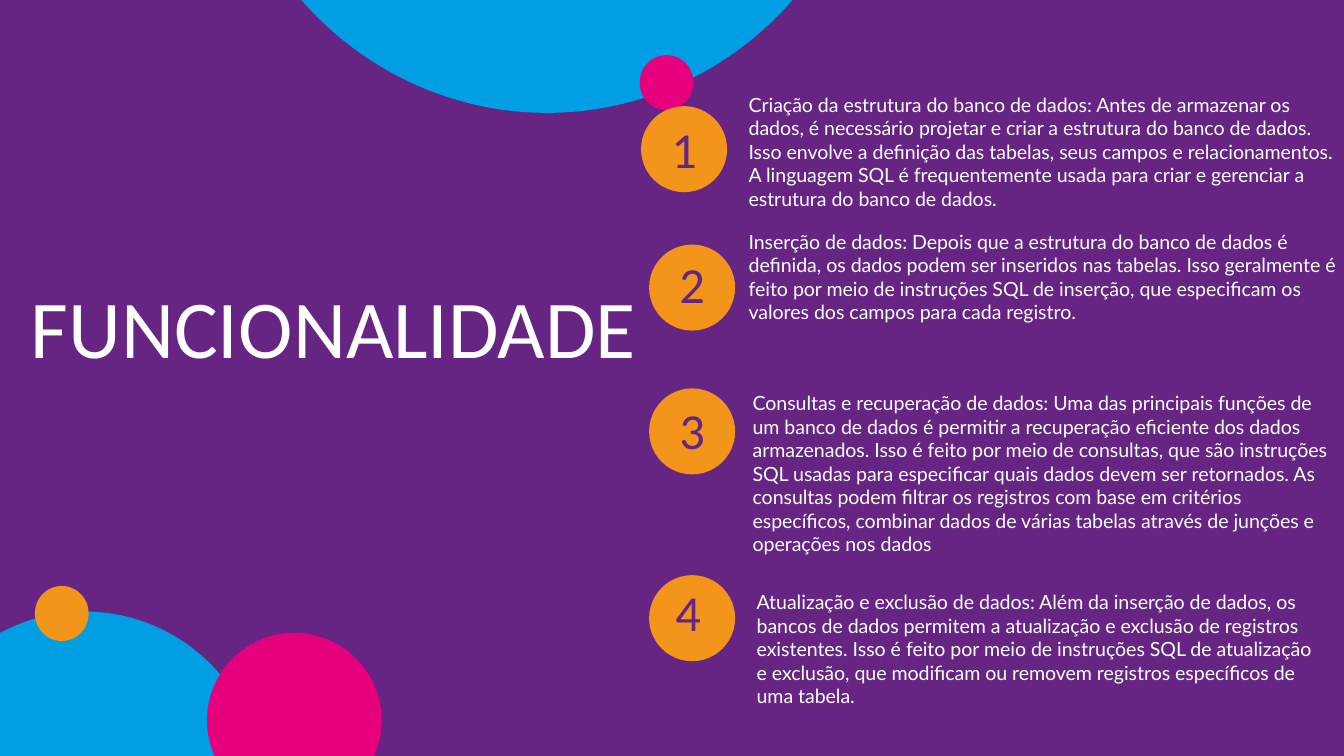
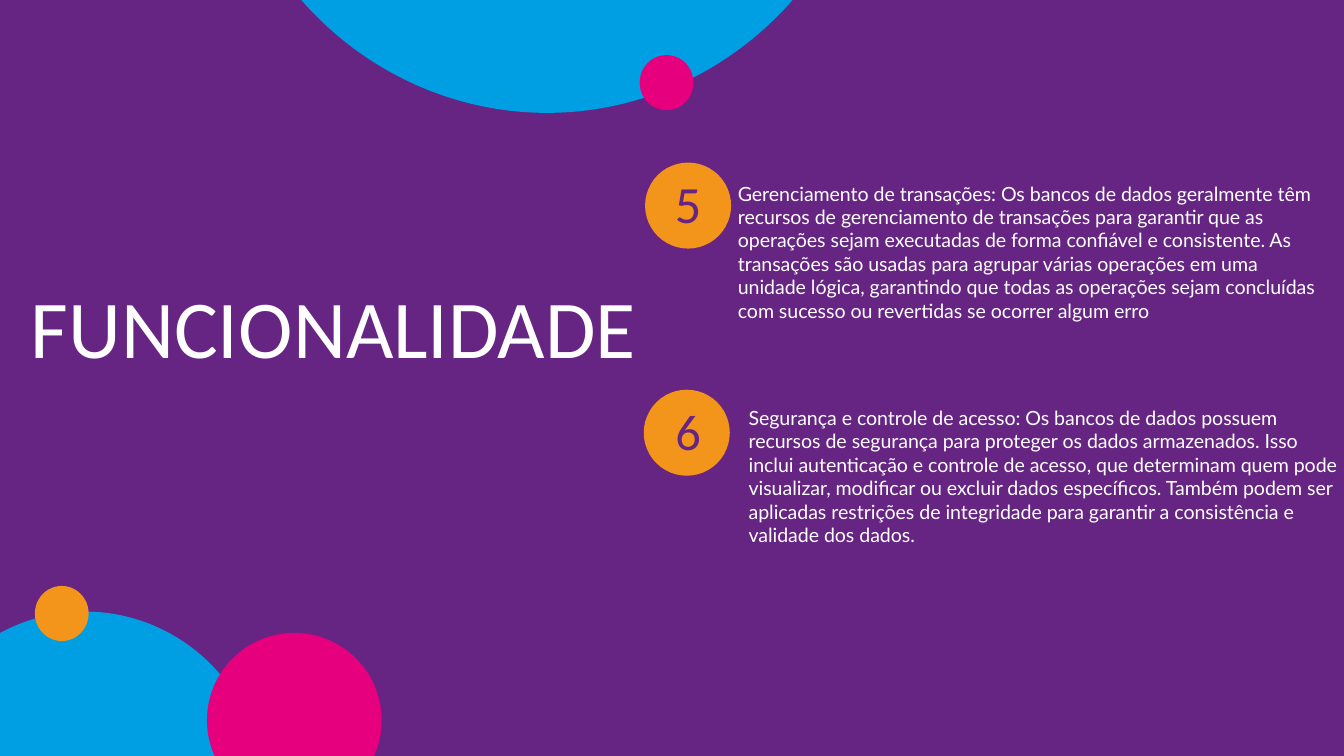
from dataclasses import dataclass
from math import asin, cos, pi, sin

from pptx import Presentation
from pptx.dml.color import RGBColor
from pptx.enum.shapes import MSO_SHAPE
from pptx.enum.text import MSO_ANCHOR, MSO_AUTO_SIZE, PP_ALIGN
from pptx.util import Inches, Pt

OVAL = MSO_SHAPE.OVAL
TOP, MIDDLE = MSO_ANCHOR.TOP, MSO_ANCHOR.MIDDLE
LEFT, CENTER = PP_ALIGN.LEFT, PP_ALIGN.CENTER
NO_AUTOFIT = MSO_AUTO_SIZE.NONE

COLORS = {
    "purple": "662483",
    "blue": "009FE3",
    "pink": "E6007E",
    "orange": "F4951B",
    "white": "FFFFFF",
}
SLIDE_WIDTH = 10
SLIDE_HEIGHT = SLIDE_WIDTH * 9 / 16
HEADING_FONT, BODY_FONT = "Calibri", "Lato"
TITLE_BOX = (0.13, 1.47, 5.15, 1.9)
BADGE_SIZE = 0.64
INSET = 0.1
TWO_CONTENT, COMPARISON = 3, 4  # layouts with two and four body placeholders


@dataclass
class Feature:
    number: str
    badge: tuple
    number_box: tuple
    text_box: tuple
    text: str
    space_before: float = 0
    number_size: float = 27


FIRST_FEATURES = [
    Feature("1", (4.77, 0.79), (4.65, 0.82, 0.88, 0.62), (5.47, 0.59, 4.58, 0.6),
            "Criação da estrutura do banco de dados: Antes de armazenar os dados, é "
            "necessário projetar e criar a estrutura do banco de dados. Isso envolve a "
            "definição das tabelas, seus campos e relacionamentos. A linguagem SQL é "
            "frequentemente usada para criar e gerenciar a estrutura do banco de dados."),
    Feature("2", (4.83, 1.82), (4.71, 1.83, 0.88, 0.62), (5.47, 1.61, 4.63, 1.17),
            "Inserção de dados: Depois que a estrutura do banco de dados é definida, os "
            "dados podem ser inseridos nas tabelas. Isso geralmente é feito por meio de "
            "instruções SQL de inserção, que especificam os valores dos campos para cada "
            "registro.", space_before=16),
    Feature("3", (4.83, 2.89), (4.71, 2.91, 0.88, 0.62), (5.5, 2.81, 4.51, 1.45),
            "Consultas e recuperação de dados: Uma das principais funções de um banco de "
            "dados é permitir a recuperação eficiente dos dados armazenados. Isso é feito "
            "por meio de consultas, que são instruções SQL usadas para especificar quais "
            "dados devem ser retornados. As consultas podem filtrar os registros com base "
            "em critérios específicos, combinar dados de várias tabelas através de junções "
            "e operações nos dados"),
    Feature("4", (4.83, 4.28), (4.68, 4.3, 0.88, 0.56), (5.53, 4.29, 4.36, 0.6),
            "Atualização e exclusão de dados: Além da inserção de dados, os bancos de dados "
            "permitem a atualização e exclusão de registros existentes. Isso é feito por "
            "meio de instruções SQL de atualização e exclusão, que modificam ou removem "
            "registros específicos de uma tabela."),
]
LAST_FEATURES = [
    Feature("5", (4.8, 1.21), (4.68, 1.3, 0.88, 0.47), (5.39, 1.25, 4.58, 0.6),
            "Gerenciamento de transações: Os bancos de dados geralmente têm recursos de "
            "gerenciamento de transações para garantir que as operações sejam executadas "
            "de forma confiável e consistente. As transações são usadas para agrupar várias "
            "operações em uma unidade lógica, garantindo que todas as operações sejam "
            "concluídas com sucesso ou revertidas se ocorrer algum erro", number_size=28),
    Feature("6", (4.79, 2.9), (4.68, 2.92, 0.88, 0.62), (5.47, 2.92, 4.63, 1.61),
            "Segurança e controle de acesso: Os bancos de dados possuem recursos de "
            "segurança para proteger os dados armazenados. Isso inclui autenticação e "
            "controle de acesso, que determinam quem pode visualizar, modificar ou excluir "
            "dados específicos. Também podem ser aplicadas restrições de integridade para "
            "garantir a consistência e validade dos dados.", space_before=16),
]


def rgb(name):
    return RGBColor.from_string(COLORS[name])


def paint(shape, color):
    shape.shadow.inherit = False
    shape.fill.solid()
    shape.fill.fore_color.rgb = rgb(color)
    shape.line.fill.background()
    return shape


def add_circle(slide, box, color):
    return paint(slide.shapes.add_shape(OVAL, *map(Inches, box)), color)


def add_cut_circle(slide, center_x, center_y, radius, color):
    """Circle cut flat along the bottom edge of the slide."""
    cut = asin((SLIDE_HEIGHT - center_y) / radius)
    steps = 90
    angles = [pi - cut + (pi + 2 * cut) * step / steps for step in range(steps + 1)]
    points = [(Inches(center_x + radius * cos(angle)),
               Inches(center_y + radius * sin(angle))) for angle in angles]
    builder = slide.shapes.build_freeform(*points[0])
    builder.add_line_segments(points[1:], close=True)
    return paint(builder.convert_to_shape(), color)


def decorate_master(master, slide):
    """Draws the circles on the slide, then moves them to the master."""
    master.background.fill.solid()
    master.background.fill.fore_color.rgb = rgb("purple")
    circles = [
        add_circle(slide, (-0.7, 4.55, 2.66, 2.69), "blue"),
        add_circle(slide, (1.6, -4.29, 4.94, 5.13), "blue"),
        add_circle(slide, (4.76, 0.41, 0.4, 0.41), "pink"),
        add_circle(slide, (0.26, 4.36, 0.4, 0.41), "orange"),
        add_cut_circle(slide, 2.19, 5.36, 0.65, "pink"),
    ]
    for shape_id, circle in enumerate(circles, start=100):
        circle.element.nvSpPr.cNvPr.set("id", str(shape_id))
        master.shapes.element.append(circle.element)


def write(shape, box, text, font, size, color, anchor=MIDDLE, align=LEFT,
          spacing=1.0, before=0, after=0):
    shape.left, shape.top, shape.width, shape.height = map(Inches, box)
    frame = shape.text_frame
    frame.word_wrap = True
    frame.auto_size = NO_AUTOFIT
    frame.vertical_anchor = anchor
    frame.margin_left = frame.margin_right = Inches(INSET)
    frame.margin_top = frame.margin_bottom = Inches(INSET)
    paragraph = frame.paragraphs[0]
    paragraph.alignment = align
    paragraph.line_spacing = spacing
    paragraph.space_before, paragraph.space_after = Pt(before), Pt(after)
    run = paragraph.add_run()
    run.text = text
    run.font.name = font
    run.font.size = Pt(size)
    run.font.bold = False
    run.font.color.rgb = rgb(color)
    return paragraph


def remove_bullet(paragraph):
    properties = paragraph._p.get_or_add_pPr()
    properties.set("marL", "0")
    properties.set("indent", "0")
    namespace = properties.tag.split("}")[0]
    properties.append(properties.makeelement(namespace + "}buNone", {}))


def add_feature(slide, body, feature):
    add_circle(slide, (*feature.badge, BADGE_SIZE, BADGE_SIZE), "orange")
    number = slide.shapes.add_textbox(*map(Inches, feature.number_box))
    write(number, feature.number_box, feature.number, HEADING_FONT,
          feature.number_size, "purple", align=CENTER, spacing=0.9)
    description = write(body, feature.text_box, feature.text, BODY_FONT, 10.5, "white",
                        anchor=TOP, before=feature.space_before, after=16)
    remove_bullet(description)


def add_features_slide(presentation, layout, features):
    slide = presentation.slides.add_slide(presentation.slide_layouts[layout])
    write(slide.shapes.title, TITLE_BOX, "FUNCIONALIDADE", HEADING_FONT, 44, "white")
    bodies = [holder for holder in slide.placeholders
              if holder.placeholder_format.idx > 0]
    for body, feature in zip(bodies, features):
        add_feature(slide, body, feature)
    return slide


def main():
    presentation = Presentation()
    presentation.slide_width = Inches(SLIDE_WIDTH)
    presentation.slide_height = Inches(SLIDE_HEIGHT)
    first_slide = add_features_slide(presentation, COMPARISON, FIRST_FEATURES)
    decorate_master(presentation.slide_master, first_slide)
    add_features_slide(presentation, TWO_CONTENT, LAST_FEATURES)
    presentation.save("out.pptx")


if __name__ == "__main__":
    main()
